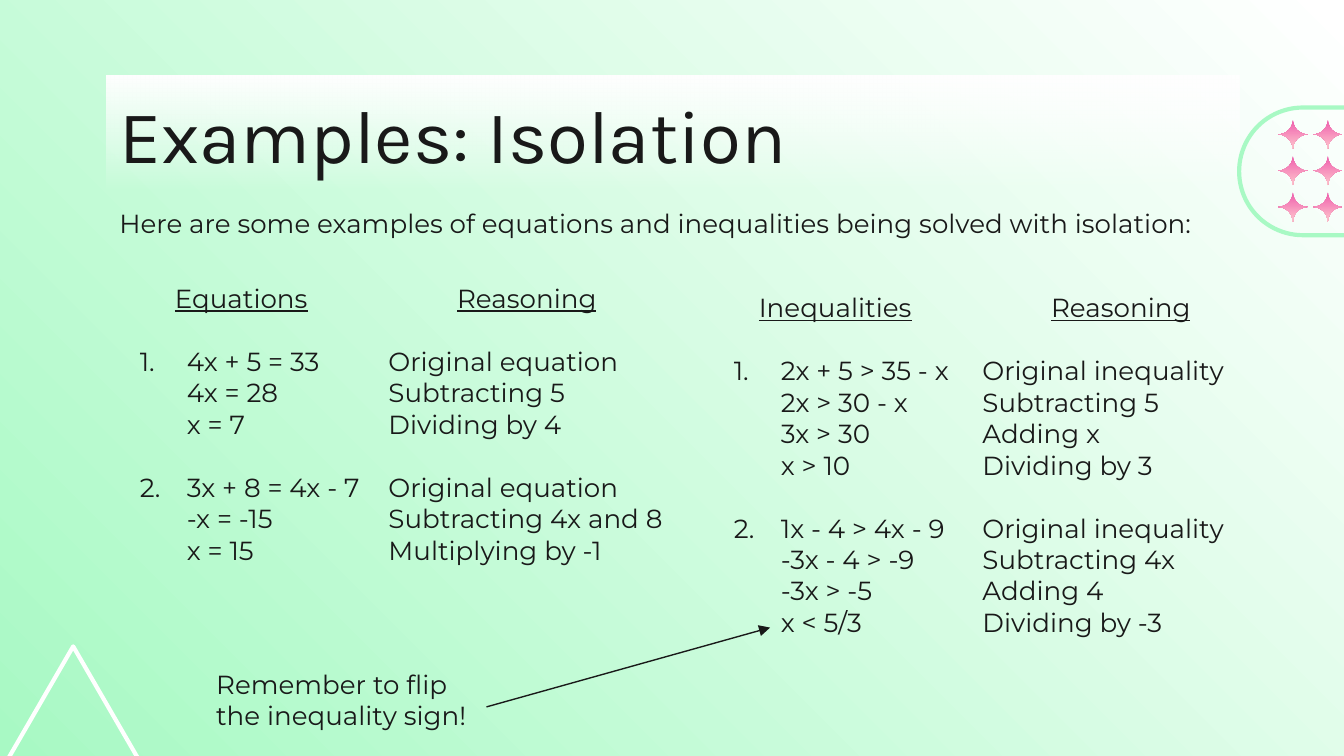
from itertools import product

from lxml import etree
from pptx import Presentation
from pptx.dml.color import RGBColor
from pptx.enum.shapes import MSO_CONNECTOR, MSO_SHAPE
from pptx.enum.text import MSO_ANCHOR, MSO_AUTO_SIZE, PP_ALIGN
from pptx.oxml.ns import qn
from pptx.util import Inches, Pt

LEFT, CENTER = PP_ALIGN.LEFT, PP_ALIGN.CENTER
TOP, NO_FIT = MSO_ANCHOR.TOP, MSO_AUTO_SIZE.NONE
TRIANGLE, PILL, STAR = (MSO_SHAPE.ISOSCELES_TRIANGLE, MSO_SHAPE.ROUNDED_RECTANGLE,
                        MSO_SHAPE.PLAQUE)
STRAIGHT = MSO_CONNECTOR.STRAIGHT
COMPARISON = 4

THEME = {
    "ink": "191919", "green": "A8F9C4", "white": "FFFFFF",
    "pink": "EE5DAC", "blush": "FFC6CD",
    "head": "Karla", "text": "Montserrat",
    "title": 40, "body": 14, "gap": 17, "outline": 2.25, "arrow": 0.75,
}

TITLE = "Examples: Isolation"
INTRO = "Here are some examples of equations and inequalities being solved with isolation:"
NOTE = "Remember to flip the inequality sign!"

# Each pair: left, top, then columns of (heading, numbered, groups of lines)
PAIRS = [
    (0.79, 2.0, [
        ("Equations", True, [
            ["4x + 5 = 33", "4x = 28", "x = 7"],
            ["3x + 8 = 4x - 7", "-x = -15", "x = 15"]]),
        ("Reasoning", False, [
            ["Original equation", "Subtracting 5", "Dividing by 4"],
            ["Original equation", "Subtracting 4x and 8", "Multiplying by -1"]]),
    ]),
    (5.21, 2.07, [
        ("Inequalities", True, [
            ["2x + 5 > 35 - x", "2x > 30 - x", "3x > 30", "x > 10"],
            ["1x - 4 > 4x - 9", "-3x - 4 > -9", "-3x > -5", "x < 5/3"]]),
        ("Reasoning", False, [
            ["Original inequality", "Subtracting 5", "Adding x", "Dividing by 3"],
            ["Original inequality", "Subtracting 4x", "Adding 4", "Dividing by -3"]]),
    ]),
]
WIDTHS = (2.01, 2.26)
STEP, HEIGHT = 2.0, 3.55
INDENT, HANG = 0.5, -0.35
STARS = {"left": 9.51, "top": 0.89, "dx": 0.26, "dy": 0.27, "size": 0.22}


def color(name):
    return RGBColor.from_string(THEME[name])


def blend(fill, first, last, angle):
    """Fill with two colours; the angle runs counter-clockwise."""
    fill.gradient()
    fill.gradient_angle = angle
    for stop, name in zip(fill.gradient_stops, (first, last)):
        stop.color.rgb = color(name)


def place(shape, left, top, width, height):
    shape.left, shape.top = Inches(left), Inches(top)
    shape.width, shape.height = Inches(width), Inches(height)


def setup(frame):
    frame.word_wrap = True
    frame.auto_size = NO_FIT
    frame.vertical_anchor = TOP
    frame.margin_left = frame.margin_right = Inches(0.1)
    frame.margin_top = frame.margin_bottom = Inches(0.1)


def write(para, text, face="text", size="body", align=LEFT, under=False, before=0):
    para.alignment = align
    para.space_before = Pt(before)
    run = para.add_run()
    run.text = text
    font = run.font
    font.name, font.size = THEME[face], Pt(THEME[size])
    font.color.rgb = color("ink")
    font.bold, font.underline = False, under


def indent(para, left=0, first=0, number=None):
    props = para._p.get_or_add_pPr()
    props.set("marL", str(Inches(left)))
    props.set("indent", str(Inches(first)))
    if number:
        mark = etree.SubElement(props, qn("a:buFont"))
        mark.set("typeface", THEME["text"])
        mark = etree.SubElement(props, qn("a:buAutoNum"))
        mark.set("type", "arabicPeriod")
        mark.set("startAt", str(number))
    else:
        etree.SubElement(props, qn("a:buNone"))


def column(shape, heading, numbered, groups):
    frame = shape.text_frame
    setup(frame)
    para = frame.paragraphs[0]
    write(para, heading, align=CENTER, under=True)
    indent(para)
    for number, lines in enumerate(groups, 1):
        for row, line in enumerate(lines):
            para = frame.add_paragraph()
            write(para, line, before=0 if row else THEME["gap"])
            if not numbered:
                indent(para)
            elif row:
                indent(para, INDENT)
            else:
                indent(para, INDENT, HANG, number)


def textbox(slide, box, text, spacing=1.0):
    frame = slide.shapes.add_textbox(*map(Inches, box)).text_frame
    setup(frame)
    write(frame.paragraphs[0], text)
    frame.paragraphs[0].line_spacing = spacing


def preset(slide, kind, box):
    shape = slide.shapes.add_shape(kind, *map(Inches, box))
    shape.shadow.inherit = False
    shape.adjustments[0] = 0.5
    return shape


def outline(slide, kind, box, name):
    shape = preset(slide, kind, box)
    shape.fill.background()
    shape.line.color.rgb = color(name)
    shape.line.width = Pt(THEME["outline"])


def stars(slide):
    size = STARS["size"]
    for row, col in product(range(3), range(2)):
        star = preset(slide, STAR, (STARS["left"] + col * STARS["dx"],
                                    STARS["top"] + row * STARS["dy"], size, size))
        blend(star.fill, "pink", "blush", 270)
        star.line.fill.background()


def heading(slide):
    title = slide.shapes.title
    place(title, 0.79, 0.56, 8.43, 0.85)
    blend(title.fill, "white", "white", 270)
    last = title._element.spPr.findall(".//" + qn("a:srgbClr"))[-1]
    etree.SubElement(last, qn("a:alpha")).set("val", "0")
    setup(title.text_frame)
    write(title.text_frame.paragraphs[0], TITLE, "head", "title")


def arrow(slide, start, end):
    line = slide.shapes.add_connector(STRAIGHT, *map(Inches, start + end))
    line.line.color.rgb = color("ink")
    line.line.width = Pt(THEME["arrow"])
    tip = etree.SubElement(line.line._get_or_add_ln(), qn("a:tailEnd"))
    tip.set("type", "triangle")
    etree.SubElement(line._element.spPr, qn("a:effectLst"))


def main():
    deck = Presentation()
    deck.slide_width = Inches(10)
    deck.slide_height = deck.slide_width * 9 // 16
    slide = deck.slides.add_slide(deck.slide_layouts[COMPARISON])
    blend(slide.background.fill, "green", "white", 45)

    outline(slide, TRIANGLE, (-0.19, 4.81, 1.47, 1.27), "white")
    heading(slide)
    textbox(slide, (0.79, 1.41, 8.43, 0.44), INTRO, 1.15)
    outline(slide, PILL, (9.22, 0.8, 1.93, 0.95), "green")
    stars(slide)

    bodies = iter(list(slide.placeholders)[1:5])
    for left, top, columns in PAIRS:
        for index, (content, width) in enumerate(zip(columns, WIDTHS)):
            body = next(bodies)
            place(body, left + index * STEP, top, width, HEIGHT)
            column(body, *content)

    arrow(slide, (3.62, 5.26), (5.73, 4.67))
    textbox(slide, (1.51, 4.87, 2.2, 0.62), NOTE)
    deck.save("out.pptx")


if __name__ == "__main__":
    main()
